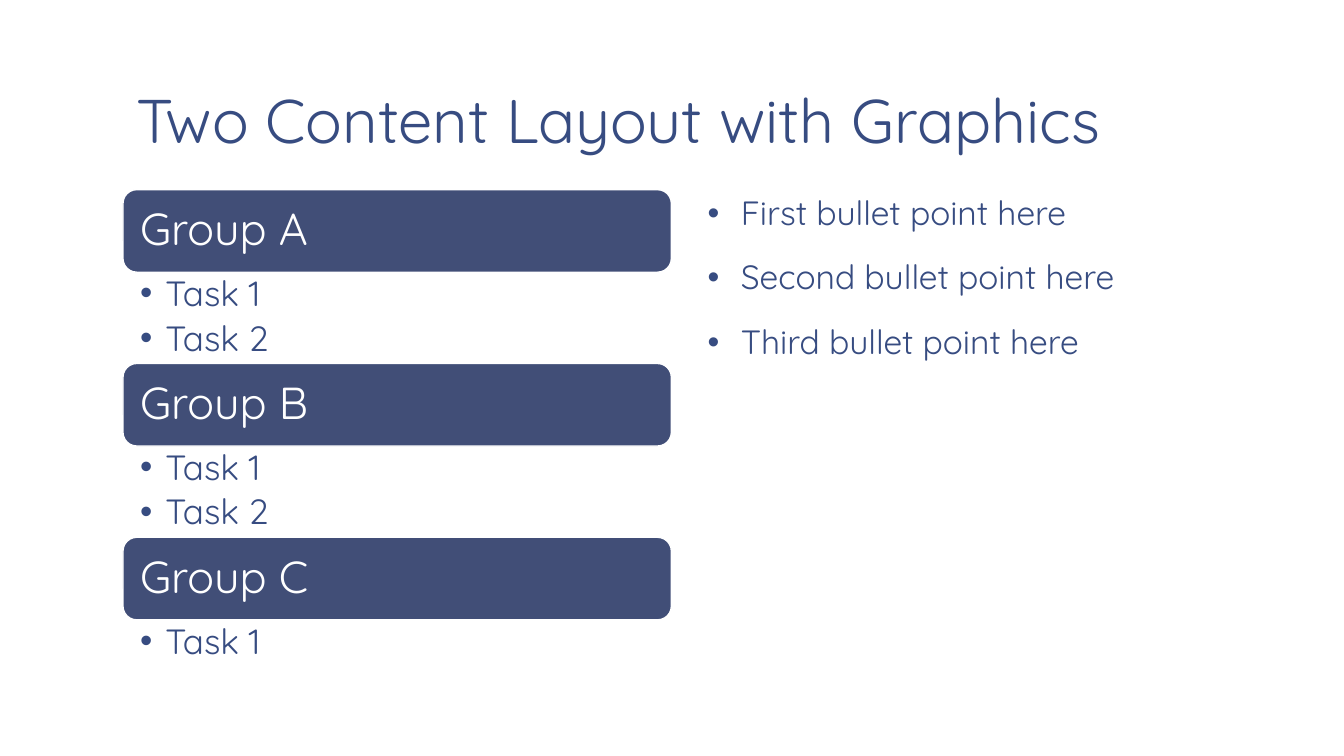
import pptx
import pptx.dml.color
import pptx.enum.shapes
import pptx.enum.text
import pptx.oxml
import pptx.oxml.ns
import pptx.util
from pptx.util import Cm, Pt

COLORS = {"text": "374C81", "bar": "414E77", "white": "FFFFFF"}
FONT = "Quicksand"
MIDDLE = pptx.enum.text.MSO_ANCHOR.MIDDLE
LEFT, COL_W = Cm(3.1), Cm(13.82)
BAR_TOP, BAR_H, GROUP_STEP = Cm(4.78), Cm(2.08), Cm(4.38)

GROUPS = [
    ("Group A", ["Task 1", "Task 2"]),
    ("Group B", ["Task 1", "Task 2"]),
    ("Group C", ["Task 1"]),
]
POINTS = ["First bullet point here", "Second bullet point here",
          "Third bullet point here"]

FRAME = {"word_wrap": True, "auto_size": pptx.enum.text.MSO_AUTO_SIZE.NONE,
         "margin_left": Cm(0.33), "margin_right": Cm(0.33),
         "margin_top": Cm(0.18), "margin_bottom": Cm(0.18),
         "vertical_anchor": pptx.enum.text.MSO_ANCHOR.TOP}
PARAGRAPH = {"alignment": pptx.enum.text.PP_ALIGN.LEFT,
             "space_before": Pt(0), "space_after": Pt(0)}


def rgb(name):
    return pptx.dml.color.RGBColor.from_string(COLORS[name])


def set_attrs(obj, values):
    for name, value in values.items():
        setattr(obj, name, value)


def place(sp, left, top, width, height):
    set_attrs(sp, {"left": left, "top": top, "width": width, "height": height})


def add_bullet(p, indent):
    pPr = p._p.get_or_add_pPr()
    pPr.set("marL", str(indent))
    pPr.set("indent", str(-indent))
    for tag, key, value in (("buFont", "typeface", "Arial"), ("buChar", "char", "•")):
        bullet = pptx.oxml.parse_xml(
            f'<a:{tag} {pptx.oxml.ns.nsdecls("a")} {key}="{value}"/>')
        pPr.append(bullet)


def fill_text(tf, lines, size, color="text", frame={}, para={}, indent=None):
    set_attrs(tf, {**FRAME, **frame})
    for i, line in enumerate(lines):
        p = tf.add_paragraph() if i else tf.paragraphs[0]
        set_attrs(p, {**PARAGRAPH, **para})
        if indent:
            add_bullet(p, indent)
        r = p.add_run()
        r.text = line
        set_attrs(r.font, {"name": FONT, "size": Pt(size)})
        r.font.color.rgb = rgb(color)


def add_bar(s, name, top):
    sp = s.shapes.add_shape(pptx.enum.shapes.MSO_SHAPE.ROUNDED_RECTANGLE,
                            LEFT, top, COL_W, BAR_H)
    sp.shadow.inherit = False
    sp.fill.solid()
    sp.fill.fore_color.rgb = rgb("bar")
    sp.line.color.rgb = rgb("white")
    sp.line.width = Pt(1)
    fill_text(sp.text_frame, [name], 32, "white",
              {"vertical_anchor": MIDDLE}, {"line_spacing": 0.9})


def add_tasks(s, tasks, top):
    height = Cm(0.64 + 0.83 * len(tasks))
    sp = s.shapes.add_textbox(LEFT, top, COL_W, height)
    fill_text(sp.text_frame, tasks, 25,
              frame={"margin_left": Cm(0.43), "margin_right": Cm(0.64),
                     "margin_top": Cm(0.1), "margin_bottom": Cm(0.1)},
              para={"line_spacing": 0.9, "space_after": Pt(5)},
              indent=Cm(0.64))


def main():
    prs = pptx.Presentation()
    set_attrs(prs, {"slide_width": Cm(33.87), "slide_height": Cm(19.05)})
    s = prs.slides.add_slide(prs.slide_layouts[1])

    # Title
    title, body = s.placeholders
    place(title, LEFT, Cm(0.22), Cm(28.22), Cm(3.89))
    fill_text(title.text_frame, ["Two Content Layout with Graphics"], 44,
              frame={"vertical_anchor": pptx.enum.text.MSO_ANCHOR.BOTTOM},
              para={"line_spacing": 0.85})

    # Groups with their tasks
    for i, (name, tasks) in enumerate(GROUPS):
        top = BAR_TOP + i * GROUP_STEP
        add_bar(s, name, top)
        add_tasks(s, tasks, top + BAR_H)

    # Bullet points
    place(body, Cm(17.5), Cm(4.72), COL_W, Cm(12.42))
    fill_text(body.text_frame, POINTS, 24,
              para={"line_spacing": 0.95, "space_before": Pt(18.7)},
              indent=Cm(0.84))

    prs.save("out.pptx")


if __name__ == "__main__":
    main()
